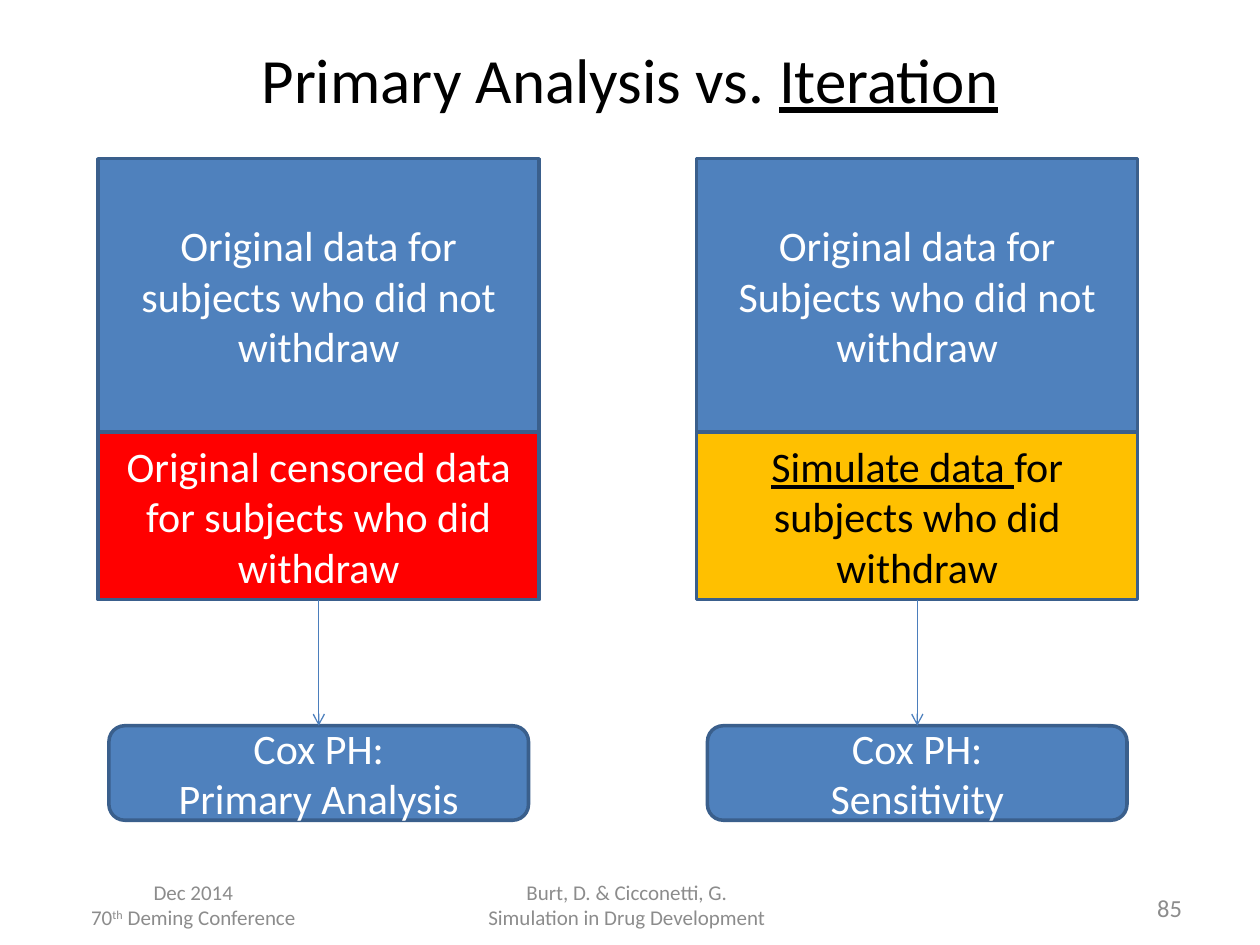
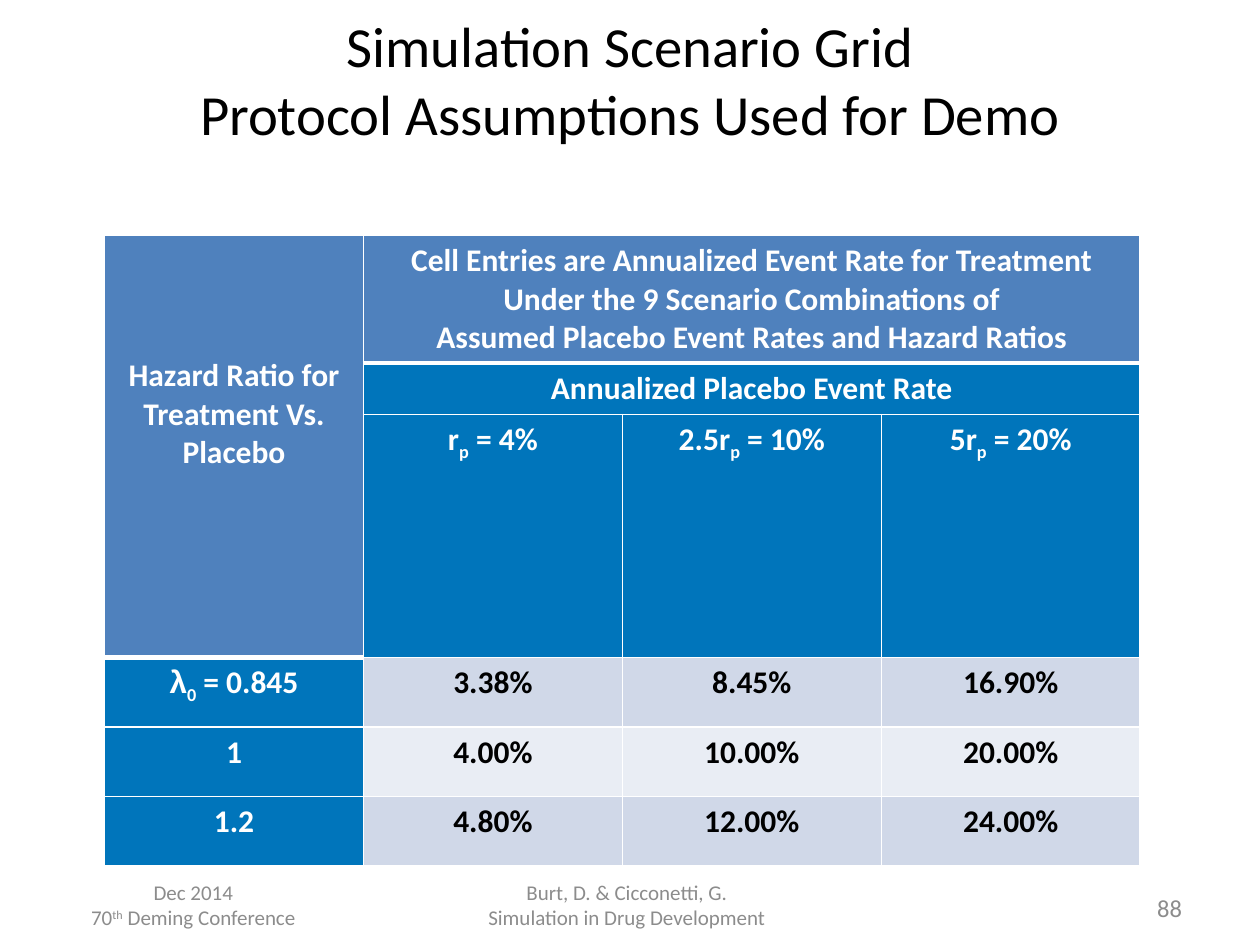
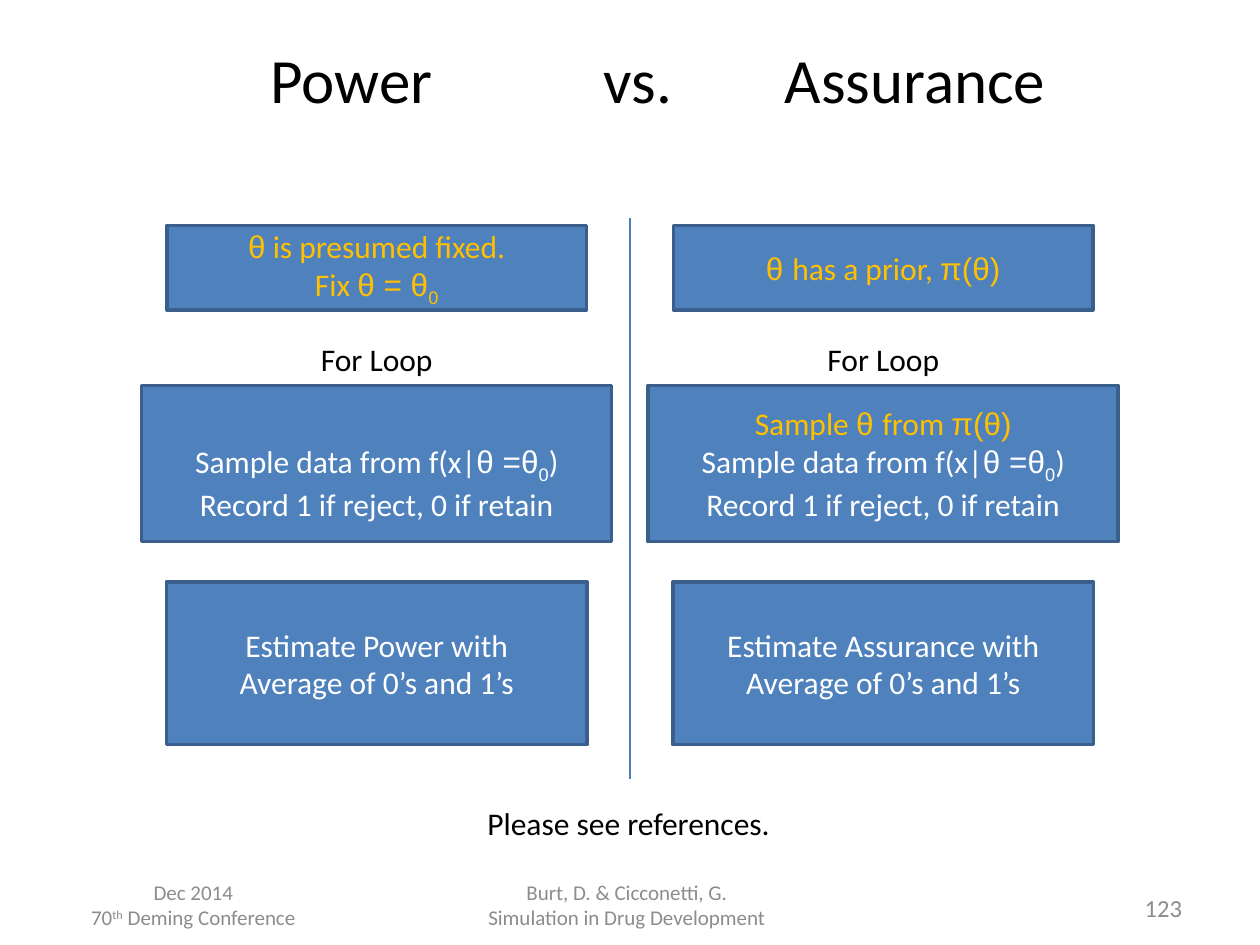
from dataclasses import dataclass

from lxml import etree
from pptx import Presentation
from pptx import util as u
from pptx.dml import color
from pptx.enum import dml, shapes, text
from pptx.oxml import ns

Inches = u.Inches
MID = text.MSO_ANCHOR.MIDDLE
TOP = text.MSO_ANCHOR.TOP
LEFT = text.PP_ALIGN.LEFT
MIDST = text.PP_ALIGN.CENTER
RIGHT = text.PP_ALIGN.RIGHT
RECT = shapes.MSO_SHAPE.RECTANGLE
ROUND = shapes.MSO_SHAPE.ROUNDED_RECTANGLE


@dataclass(frozen=True)
class Theme:
    face: str = "Calibri"
    greek: str = "Arial"
    black: str = "000000"
    white: str = "FFFFFF"
    gray: str = "8C8C8C"
    blue: str = "4F81BD"
    edge: str = "3A5F8C"
    wire: str = "4B7EBC"
    red: str = "FF0000"
    gold: str = "FFC000"
    deep: str = "0075BB"
    bands: tuple = ("D0D8E8", "E9EDF4")
    title: float = 36
    tight: float = 32.4
    large: float = 24
    body: float = 18
    page: float = 14
    foot: float = 12


T = Theme()


def rgb(code):
    return color.RGBColor.from_string(code)


# Text: a paragraph is a string or a list of runs; a run is a string or
# (string, flags): g Greek face, u underline, y gold, - subscript, + superscript
def add_run(para, item):
    words, flags = (item, "") if isinstance(item, str) else item
    run = para.add_run()
    run.text = words
    if "g" in flags:
        run.font.name = T.greek
    if "u" in flags:
        run.font.underline = True
    if "y" in flags:
        run.font.color.rgb = rgb(T.gold)
    for sign, shift in (("-", "-25000"), ("+", "30000")):
        if sign in flags:
            run.font._element.set("baseline", shift)


def write(frame, paras, size, ink, align=MIDST, bold=False):
    for i, items in enumerate(paras):
        para = frame.add_paragraph() if i else frame.paragraphs[0]
        para.alignment = align
        font = para.font
        font.name, font.size, font.bold = T.face, u.Pt(size), bold
        font.color.rgb = rgb(ink)
        for item in [items] if isinstance(items, str) else items:
            add_run(para, item)


def label(slide, box, paras, size, ink=T.black, align=MIDST, anchor=MID):
    frame = slide.shapes.add_textbox(*map(Inches, box)).text_frame
    frame.word_wrap = True
    frame.vertical_anchor = anchor
    write(frame, paras, size, ink, align)
    return frame


def block(slide, box, paras, size, fill=T.blue, ink=T.white, kind=RECT):
    shape = slide.shapes.add_shape(kind, *map(Inches, box))
    shape.shadow.inherit = False
    shape.fill.solid()
    shape.fill.fore_color.rgb = rgb(fill)
    shape.line.color.rgb = rgb(T.edge)
    shape.line.width = u.Pt(2)
    shape.text_frame.word_wrap = True
    shape.text_frame.vertical_anchor = MID
    write(shape.text_frame, paras, size, ink)
    return shape


def wire(slide, x, top, end):
    line = slide.shapes.add_connector(
        shapes.MSO_CONNECTOR.STRAIGHT, *map(Inches, (x, top, x, end)))
    line.line.color.rgb = rgb(T.wire)
    line.line.width = u.Pt(0.75)
    etree.SubElement(line._element.spPr, ns.qn("a:effectLst"))
    return line


# Title and footer on every slide
def start(deck, page, paras, size=T.title, align=MIDST):
    slide = deck.slides.add_slide(deck.slide_layouts[6])
    label(slide, (0.5, 6.98, 2.07, 0.4),
          ["Dec 2014", ["70", ("th", "+"), " Deming Conference"]],
          T.foot, T.gray)
    label(slide, (2.72, 6.98, 4.51, 0.4),
          ["Burt, D. & Cicconetti, G.", "Simulation in Drug Development"],
          T.foot, T.gray)
    label(slide, (8.05, 7.04, 1.43, 0.34), [str(page)],
          T.page, T.gray, RIGHT, TOP)
    return slide, label(slide, (0.5, 0.16, 9, 0.93), paras, size, align=align)


# Data stack with an arrow down to its model
def flow(slide, x, y, kept, lost, fill, ink, model):
    wide, slim = 3.5, 3.33
    block(slide, (x, y, wide, 2.17), kept, T.large)
    base = block(slide, (x, y + 2.17, wide, 1.33), lost, T.large, fill, ink)
    goal = block(slide, (x + (wide - slim) / 2, y + 4.5, slim, 0.75),
                 model, T.large, kind=ROUND)
    arrow = wire(slide, x + wide / 2, y + 3.5, y + 4.5)
    arrow.begin_connect(base, 2)
    arrow.end_connect(goal, 0)
    tail = etree.SubElement(arrow.line._get_or_add_ln(), ns.qn("a:tailEnd"))
    tail.set("type", "arrow")


def compare(deck):
    slide, _ = start(deck, 85, [["Primary Analysis vs. ", ("Iteration", "u")]])
    flow(slide, 0.78, 1.26,
         ["Original data for", "subjects who did not withdraw"],
         ["Original censored data for subjects who did withdraw"],
         T.red, T.white, ["Cox PH:", "Primary Analysis"])
    flow(slide, 5.53, 1.26,
         ["Original data for", "Subjects who did not withdraw"],
         [[("Simulate data ", "u"), "for"], "subjects who did withdraw"],
         T.gold, T.black, ["Cox PH:", "Sensitivity"])


# Scenario table
def borders(cell, row, col):
    props = cell._tc.get_or_add_tcPr()
    heavy = {"T": row == (1 if col else 3), "B": row == 0 or (row, col) == (2, 0)}
    for side in "LRTB":
        line = etree.SubElement(props, ns.qn("a:ln" + side))
        line.set("w", str(u.Pt(3 if heavy.get(side) else 1)))
        fill = etree.SubElement(line, ns.qn("a:solidFill"))
        etree.SubElement(fill, ns.qn("a:srgbClr")).set("val", T.white)


def shade(row, col):
    if row == 0 or (col == 0 and row < 3):
        return T.blue
    if row < 3 or col == 0:
        return T.deep
    return T.bands[(row - 3) % 2]


def grid(slide, x, y):
    highs = (1.01, 0.41, 1.93, 0.55, 0.55, 0.55)
    wide = 2.055
    rates = [[[lead, ("p", "-"), tail]] for lead, tail in
             (("r", " = 4%"), ("2.5r", " = 10%"), ("5r", " = 20%"))]
    first = [[("λ", "g"), ("0", "-"), " = 0.845"]]
    rows = [
        [["Hazard Ratio for Treatment Vs. Placebo"],
         ["Cell Entries are Annualized Event Rate for Treatment",
          "Under the 9 Scenario Combinations of",
          "Assumed Placebo Event Rates and Hazard Ratios"], [], []],
        [[], ["Annualized Placebo Event Rate"], [], []],
        [[], *rates],
        [first, ["3.38%"], ["8.45%"], ["16.90%"]],
        [["1"], ["4.00%"], ["10.00%"], ["20.00%"]],
        [["1.2"], ["4.80%"], ["12.00%"], ["24.00%"]],
    ]
    table = slide.shapes.add_table(
        6, 4, *map(Inches, (x, y, 4 * wide, sum(highs)))).table
    for col in table.columns:
        col.width = Inches(wide)
    for row, high in zip(table.rows, highs):
        row.height = Inches(high)
    for r, row in enumerate(rows):
        for c, paras in enumerate(row):
            cell = table.cell(r, c)
            borders(cell, r, c)
            cell.fill.solid()
            cell.fill.fore_color.rgb = rgb(shade(r, c))
            ink = T.black if r > 2 and c else T.white
            write(cell.text_frame, paras, T.body, ink, bold=True)
    table.cell(0, 0).margin_top = Inches(0.96)
    for a, b in (((0, 0), (2, 0)), ((0, 1), (0, 3)), ((1, 1), (1, 3))):
        table.cell(*a).merge(table.cell(*b))


def scenario(deck):
    slide, _ = start(deck, 88, ["Simulation Scenario Grid",
                                "Protocol Assumptions Used for Demo"], T.tight)
    grid(slide, 0.83, 1.87)


# Column of steps, centred on mid
def steps(slide, mid, y, prior, loop, result):
    def place(wide, drop, high):
        return mid - wide / 2, y + drop, wide, high

    block(slide, place(3.33, 0, 0.67), prior, T.body, ink=T.gold)
    label(slide, place(2.11, 0.86, 0.4), ["For Loop"], T.body, anchor=TOP)
    body = block(slide, place(3.73, 1.27, 1.24), loop, T.body)
    block(slide, place(3.34, 2.83, 1.29), result, T.body)
    return body


def power(deck):
    slide, head = start(deck, 123, [], align=LEFT)
    # Title words on tab stops
    para = head.paragraphs[0]
    tabs = etree.SubElement(para._p.get_or_add_pPr(), ns.qn("a:tabLst"))
    for stop in (1.55, 4.19, 5.63):
        tab = etree.SubElement(tabs, ns.qn("a:tab"))
        tab.set("pos", str(Inches(stop)))
        tab.set("algn", "l")
    write(head, ["\tPower\tvs.\tAssurance"], T.title, T.black, LEFT)

    trial = [["Sample data from f(x|", ("θ =θ", "g"), ("0", "g-"), ")"],
             "Record 1 if reject, 0 if retain"]
    body = steps(slide, 2.99, 1.79,
                 [[("θ", "g"), " is presumed fixed."],
                  ["Fix ", ("θ = θ", "g"), ("0", "g-")]],
                 trial, ["Estimate Power with", "Average of 0’s and 1’s"])
    body.text_frame.margin_top = Inches(0.35)
    draw = [("Sample ", "y"), ("θ ", "gy"), ("from ", "y"), ("π(θ)", "gy")]
    steps(slide, 7.01, 1.79,
          [[("θ ", "g"), "has a prior, ", ("π(θ)", "g")]],
          [draw, *trial],
          ["Estimate Assurance with", "Average of 0’s and 1’s"])
    wire(slide, 5, 1.73, 6.18)
    label(slide, (3.68, 6.33, 2.62, 0.4), ["Please see references."],
          T.body, anchor=TOP)


def main():
    deck = Presentation()
    deck.slide_width, deck.slide_height = Inches(10), Inches(7.5)
    compare(deck)
    scenario(deck)
    power(deck)
    deck.save("out.pptx")


if __name__ == "__main__":
    main()
